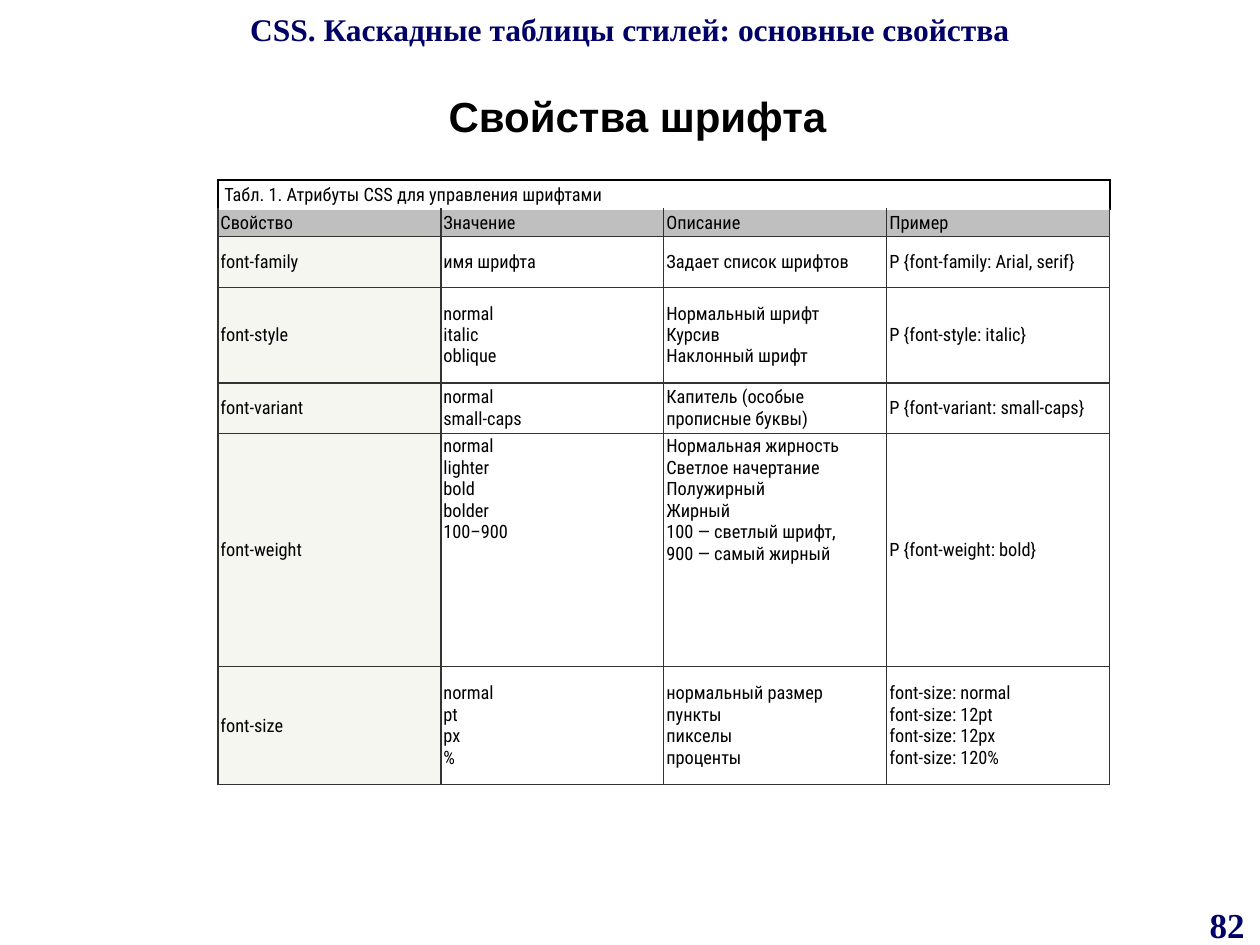
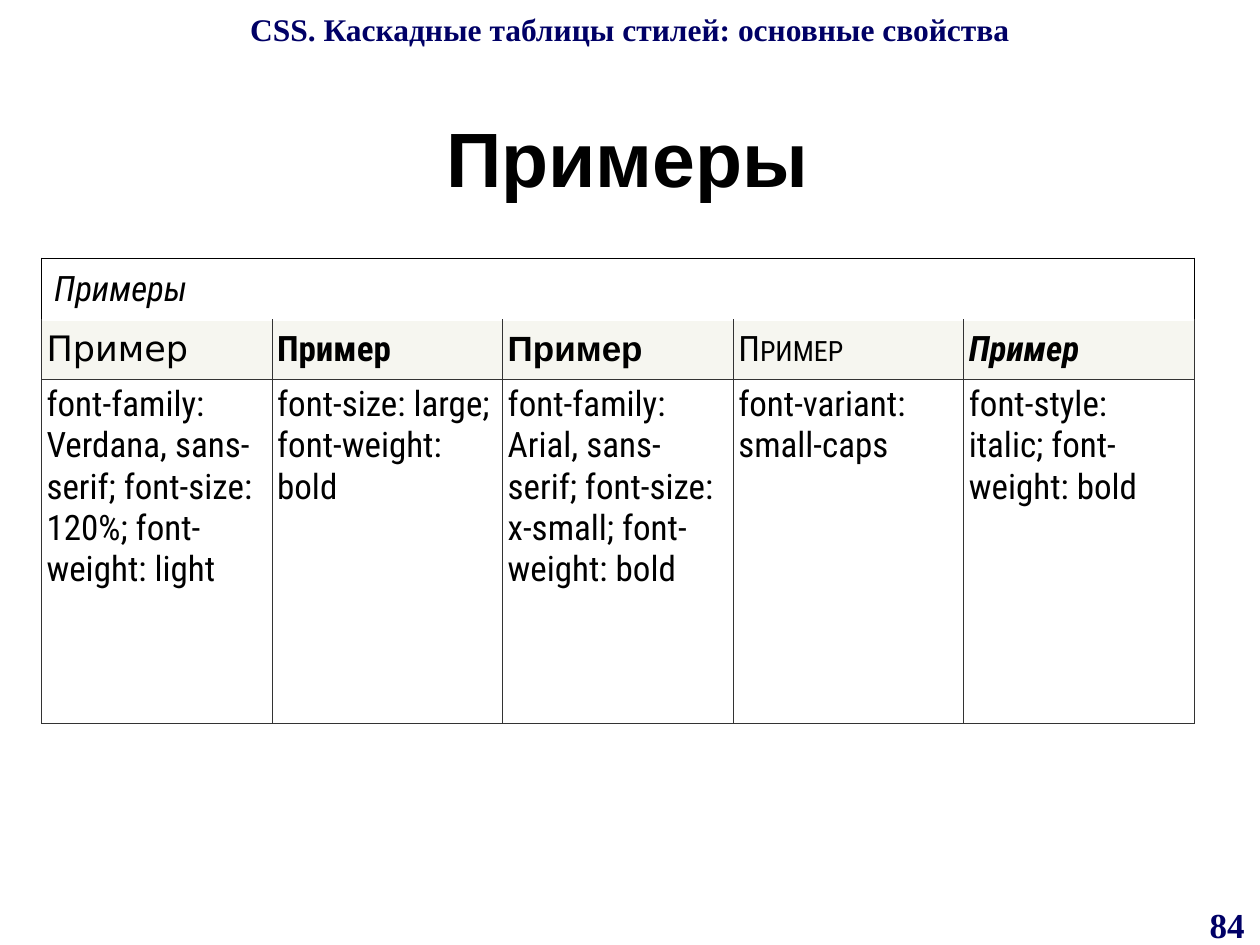
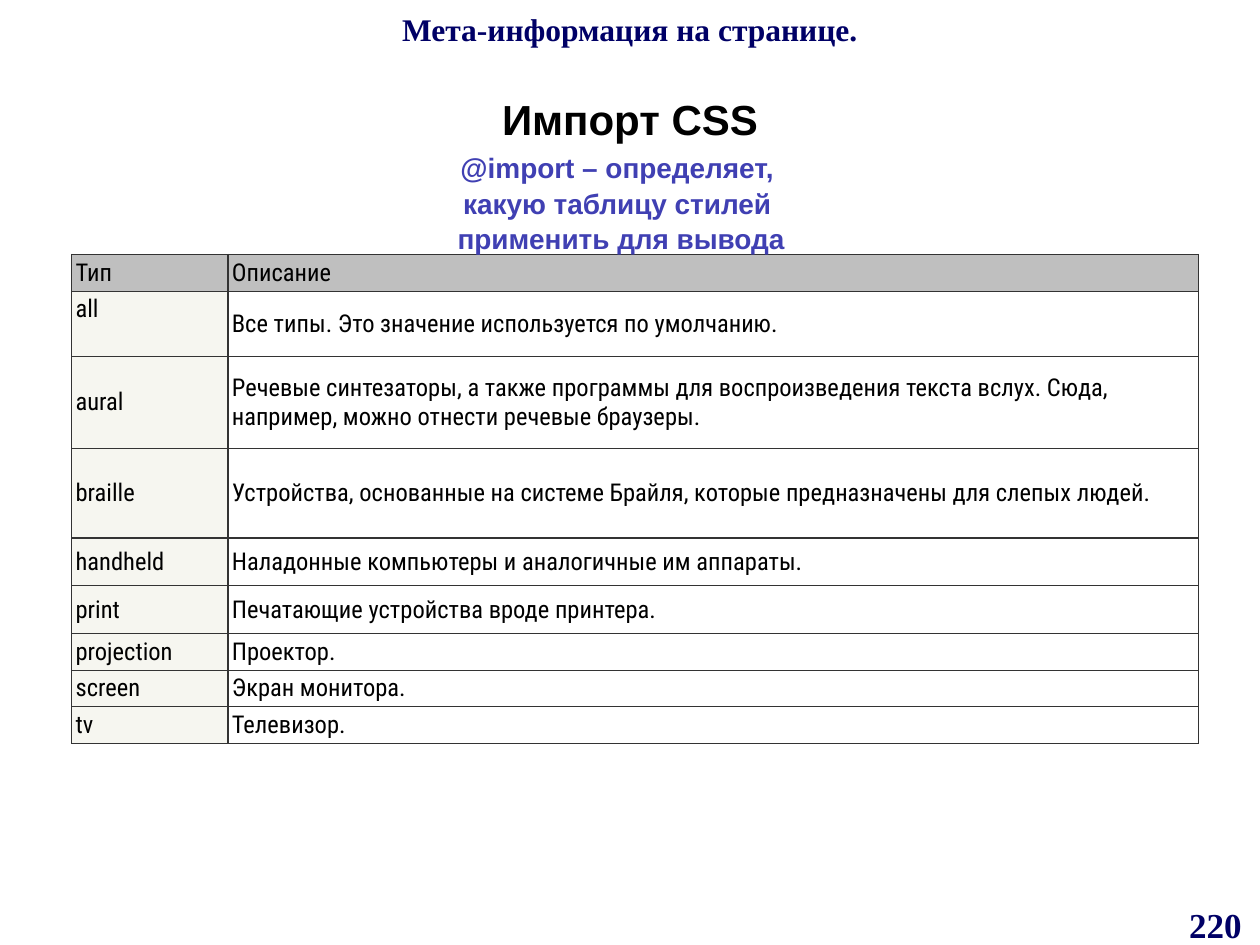
"""Build three slides on CSS font properties and style import."""
from lxml.etree import SubElement
from pptx import Presentation
from pptx.dml.color import RGBColor
from pptx.enum.text import MSO_ANCHOR, MSO_AUTO_SIZE, PP_ALIGN
from pptx.oxml.ns import qn
from pptx.util import Inches, Pt

COLORS = {
    "navy": "000066",
    "black": "000000",
    "white": "FFFFFF",
    "grey": "BFBFBF",
    "ivory": "F6F6F0",
    "rule": "333333",
    "violet": "4040B3",
}
TABLE_FONT = "Roboto Condensed"
CSS_TOPIC = "CSS. Каскадные таблицы стилей: основные свойства"

FONT_PROPERTIES = [
    ["Свойство", "Значение", "Описание", "Пример"],
    ["font-family", "имя шрифта", "Задает список шрифтов", "P {font-family: Arial, serif}"],
    ["font-style", "normal\nitalic\noblique", "Нормальный шрифт\nКурсив\nНаклонный шрифт",
     "P {font-style: italic}"],
    ["font-variant", "normal\nsmall-caps", "Капитель (особые прописные буквы)",
     "P {font-variant: small-caps}"],
    ["font-weight", "normal\nlighter\nbold\nbolder\n100–900",
     "Нормальная жирность\nСветлое начертание\nПолужирный\nЖирный\n"
     "100 — светлый шрифт,\n900 — самый жирный", "P {font-weight: bold}"],
    ["font-size", "normal\npt\npx\n%", "нормальный размер\nпункты\nпикселы\nпроценты",
     "font-size: normal\nfont-size: 12pt\nfont-size: 12px\nfont-size: 120%"],
]
SAMPLES = [
    ({"font": "DejaVu Sans"},
     "font-family: Verdana, sans-serif; font-size: 120%; font-weight: light"),
    ({"bold": True}, "font-size: large; font-weight: bold"),
    ({"font": "Arial", "bold": True},
     "font-family: Arial, sans-serif; font-size: x-small; font-weight: bold"),
    ({"small_caps": True}, "font-variant: small-caps"),
    ({"bold": True, "italic": True}, "font-style: italic; font-weight: bold"),
]
MEDIA_TYPES = [
    ["Тип", "Описание"],
    ["all", "Все типы. Это значение используется по умолчанию."],
    ["aural", "Речевые синтезаторы, а также программы для воспроизведения текста вслух. "
              "Сюда, например, можно отнести речевые браузеры."],
    ["braille", "Устройства, основанные на системе Брайля, которые предназначены "
                "для слепых людей."],
    ["handheld", "Наладонные компьютеры и аналогичные им аппараты."],
    ["print", "Печатающие устройства вроде принтера."],
    ["projection", "Проектор."],
    ["screen", "Экран монитора."],
    ["tv", "Телевизор."],
]


def rgb(name):
    return RGBColor.from_string(COLORS[name])


def write(paragraph, text, size, font, color="black", bold=False, italic=False,
          small_caps=False):
    for number, line in enumerate(text.split("\n")):
        if number:
            paragraph.add_line_break()
        run = paragraph.add_run()
        run.text = line
        run.font.size = Pt(size)
        run.font.name = font
        run.font.bold = bold
        run.font.italic = italic
        run.font.color.rgb = rgb(color)
        if small_caps:
            run.font._element.set("cap", "small")


def fill_frame(shape, text, size, font, color, line_spacing=None):
    frame = shape.text_frame
    frame.word_wrap = True
    frame.auto_size = MSO_AUTO_SIZE.NONE
    frame.vertical_anchor = MSO_ANCHOR.TOP
    frame.margin_top = Inches(0.05 + 0.0016 * size)
    paragraph = frame.paragraphs[0]
    paragraph.alignment = PP_ALIGN.CENTER
    paragraph.line_spacing = line_spacing
    write(paragraph, text, size, font, color, bold=True)


def add_label(slide, place, text, size, font, color, line_spacing=None):
    label = slide.shapes.add_textbox(*map(Inches, place))
    fill_frame(label, text, size, font, color, line_spacing)


def add_page(deck, topic, number, heading, place, size=24):
    slide = deck.slides.add_slide(deck.slide_layouts[5])
    width = 0.52 if len(number) < 3 else 0.71
    add_label(slide, (10 - width, 7.09, width, 0.41), number, 20, "Times New Roman", "navy")
    add_label(slide, (0, 0, 10, 0.63), topic, 18, "Times New Roman", "navy")
    title = slide.shapes.title
    title.left, title.top, title.width, title.height = map(Inches, place)
    fill_frame(title, heading, size, "Arial", "black")
    return slide


def add_grid(slide, left, top, columns, rows):
    table = slide.shapes.add_table(
        len(rows), len(columns), Inches(left), Inches(top),
        Inches(sum(columns)), Inches(sum(rows))).table
    table.first_row = table.horz_banding = False
    for column, width in zip(table.columns, columns):
        column.width = Inches(width)
    for row, height in zip(table.rows, rows):
        row.height = Inches(height)
    return table


def set_borders(cell, sides, color, width):
    properties = cell._tc.get_or_add_tcPr()
    for position, side in enumerate(sides):
        line = SubElement(properties, qn(f"a:ln{side}"), w=str(Pt(width)))
        paint = SubElement(line, qn("a:solidFill"))
        SubElement(paint, qn("a:srgbClr"), val=COLORS[color])
        properties.insert(position, line)


def style_cell(cell, fill, insets, anchor=MSO_ANCHOR.MIDDLE, sides="LRTB",
               color="rule", width=0.75):
    cell.margin_left = cell.margin_right = Inches(insets[0])
    cell.margin_top = cell.margin_bottom = Inches(insets[1])
    cell.vertical_anchor = anchor
    cell.fill.solid()
    cell.fill.fore_color.rgb = rgb(fill)
    set_borders(cell, sides, color, width)


def put(cell, text, size, font=TABLE_FONT, **look):
    write(cell.text_frame.paragraphs[0], text, size, font, **look)


def add_caption(table, text, size, insets, italic=False):
    last = len(table.columns) - 1
    table.cell(0, 0).merge(table.cell(0, last))
    for column in range(last + 1):
        style_cell(table.cell(0, column), "white", insets, color="black", width=1)
    put(table.cell(0, 0), text, size, italic=italic)


def fill_reference(table, entries, first_row, size, inset, top_cells):
    for row, entry in enumerate(entries):
        for column, text in enumerate(entry):
            cell = table.cell(row + first_row, column)
            fill = "grey" if row == 0 else "ivory" if column == 0 else "white"
            anchor = MSO_ANCHOR.TOP if (row, column) in top_cells else MSO_ANCHOR.MIDDLE
            sides = "LRB" if first_row and row == 0 else "LRTB"
            style_cell(cell, fill, (inset, inset), anchor, sides)
            put(cell, text, size)


def add_properties_page(deck):
    slide = add_page(deck, CSS_TOPIC, "82", "Свойства шрифта", (0.56, 0.63, 9, 0.62))
    table = add_grid(slide, 1.73, 1.43, [1.77] * 4,
                     [0.23, 0.22, 0.4, 0.76, 0.4, 1.85, 0.94])
    add_caption(table, "Табл. 1. Атрибуты CSS для управления шрифтами", 10.5, (0.05, 0.03))
    fill_reference(table, FONT_PROPERTIES, 1, 10.5, 0.02, {(4, 1), (4, 2)})


def add_samples_page(deck):
    slide = add_page(deck, CSS_TOPIC, "84", "Примеры", (0.48, 0.76, 9, 1.25), 44)
    table = add_grid(slide, 0.33, 2.05, [1.83] * 5, [0.49, 0.47, 2.73])
    add_caption(table, "Примеры", 20, (0.1, 0.05), italic=True)
    for column, (look, rule) in enumerate(SAMPLES):
        sample, description = table.cell(1, column), table.cell(2, column)
        style_cell(sample, "ivory", (0.04, 0.04), sides="LRB")
        put(sample, "Пример", 20, **look)
        style_cell(description, "white", (0.04, 0.04), MSO_ANCHOR.TOP)
        put(description, rule, 20)


def add_import_page(deck):
    slide = add_page(deck, "Мета-информация на странице.", "220", "Импорт CSS",
                     (0.5, 0.65, 9, 0.44))
    table = add_grid(slide, 0.57, 2.02, [1.24, 7.7],
                     [0.29, 0.52, 0.73, 0.71, 0.38, 0.38, 0.29, 0.29, 0.29])
    fill_reference(table, MEDIA_TYPES, 0, 14, 0.03, {(1, 0)})
    add_label(slide, (1.56, 1.11, 6.74, 0.91),
              "@import – определяет, \nкакую таблицу стилей \nприменить для вывода",
              16, "Arial", "violet", 1.05)


def main():
    deck = Presentation()
    deck.slide_width, deck.slide_height = Inches(10), Inches(7.5)
    add_properties_page(deck)
    add_samples_page(deck)
    add_import_page(deck)
    deck.save("out.pptx")


if __name__ == "__main__":
    main()
